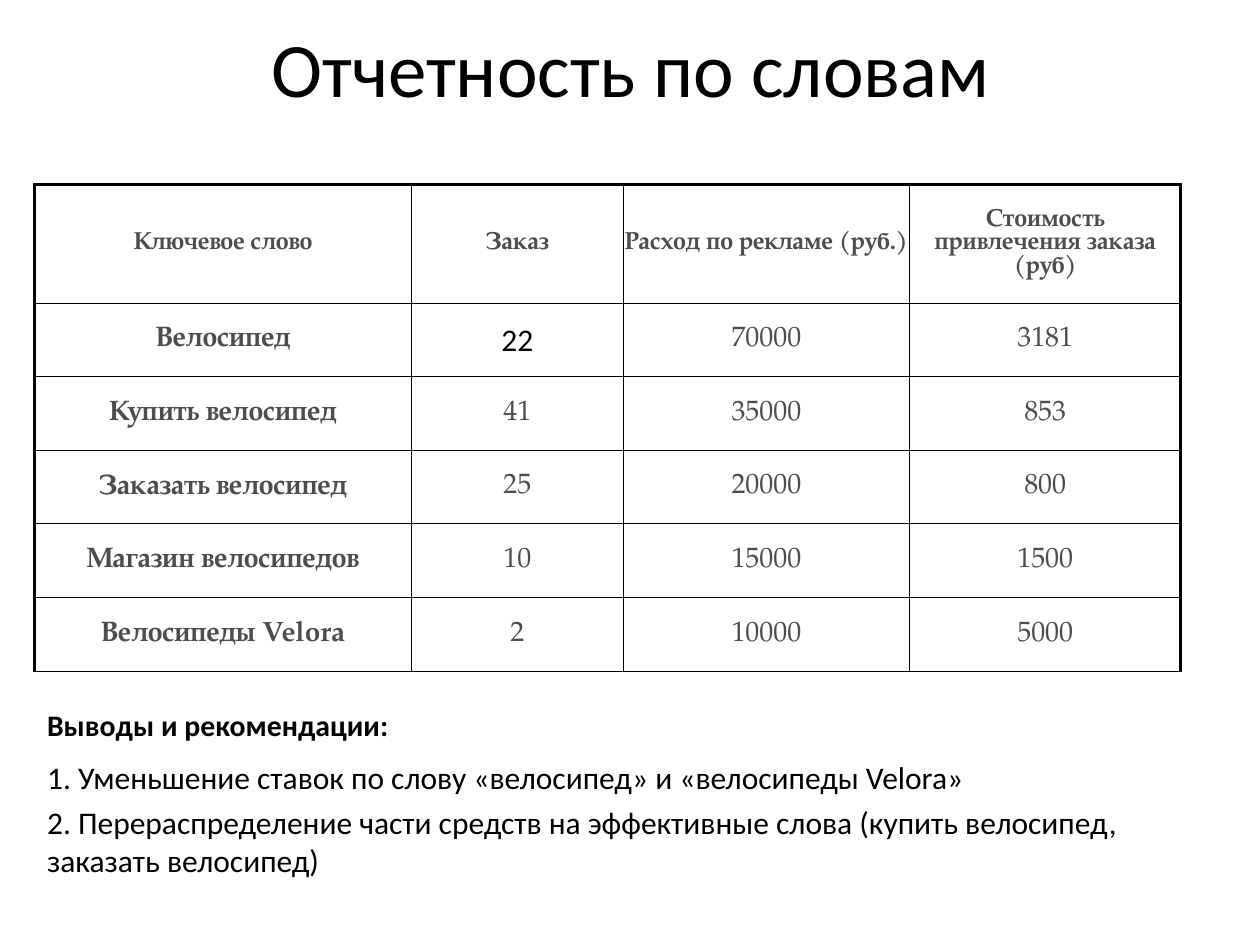
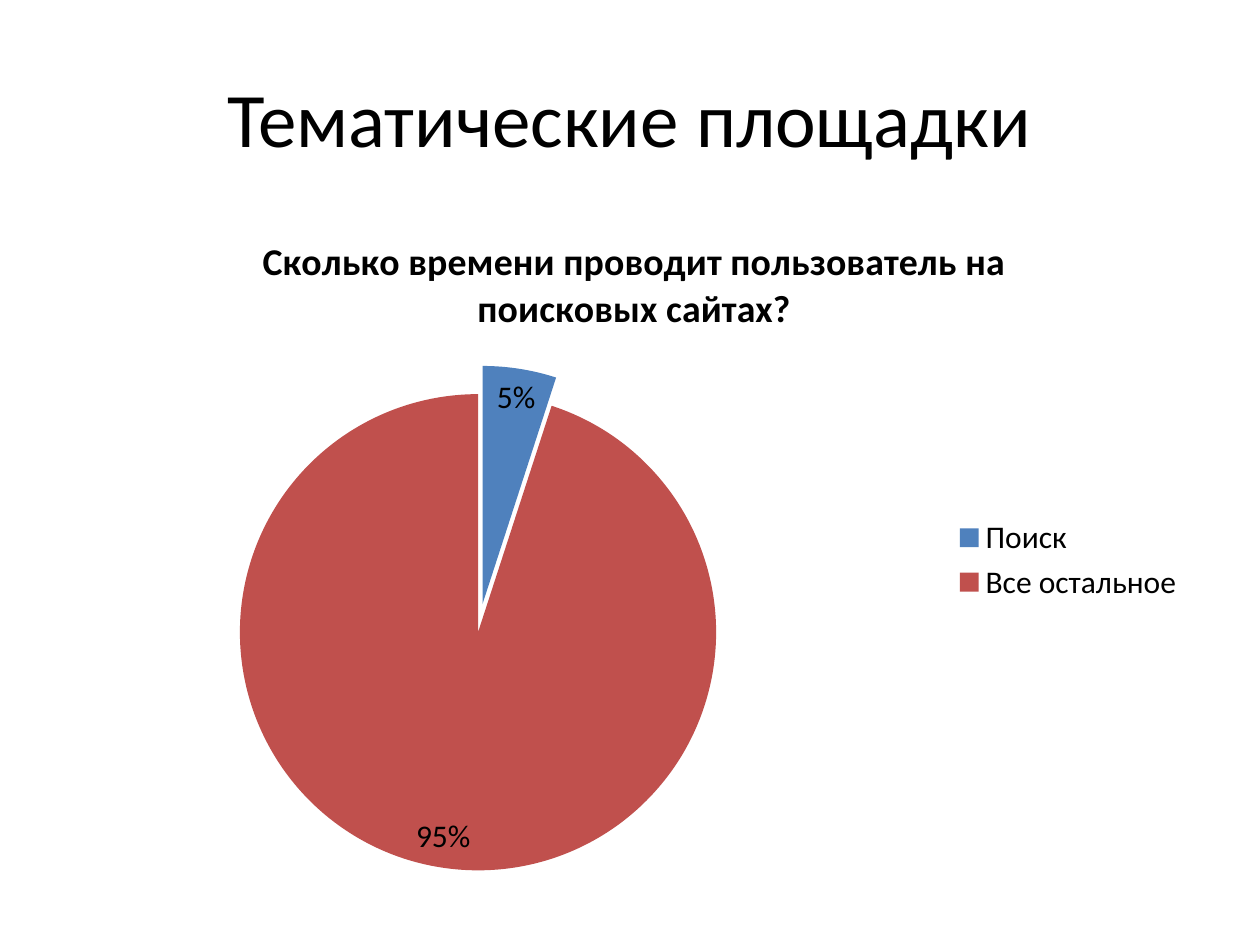
from dataclasses import dataclass

from lxml.etree import SubElement
from pptx import Presentation
from pptx.chart.data import CategoryChartData
from pptx.dml.color import RGBColor
from pptx.enum.chart import XL_CHART_TYPE as ChartType
from pptx.enum.chart import XL_LABEL_POSITION as LabelPosition
from pptx.enum.chart import XL_LEGEND_POSITION as LegendPosition
from pptx.enum.text import MSO_ANCHOR as Anchor
from pptx.enum.text import PP_ALIGN as Align
from pptx.oxml import parse_xml
from pptx.oxml.ns import nsdecls, qn
from pptx.slide import Slide
from pptx.table import _Cell as Cell
from pptx.text.text import Font
from pptx.util import Pt


@dataclass(frozen=True)
class Theme:
    black: str = "000000"
    gray: str = "4D4D4D"
    white: str = "FFFFFF"
    slices: tuple[str, ...] = ("4F81BD", "C0504D")
    sans: str = "Calibri"
    serif: str = "TeX Gyre Pagella"
    title_size: float = 44
    chart_title_size: float = 21.6
    body_size: float = 18
    lead_size: float = 17
    cell_size: float = 16
    header_size: float = 14
    thin: float = 0.5
    thick: float = 2


THEME = Theme()


@dataclass(frozen=True)
class Box:
    left: float
    top: float
    width: float
    height: float

    def lengths(self) -> tuple[Pt, Pt, Pt, Pt]:
        return Pt(self.left), Pt(self.top), Pt(self.width), Pt(self.height)


@dataclass(frozen=True)
class TextStyle:
    size: float
    name: str = THEME.sans
    color: str = THEME.black
    bold: bool = False

    def apply(self, font: Font) -> None:
        font.size = Pt(self.size)
        font.name = self.name
        font.bold = self.bold
        font.color.rgb = RGBColor.from_string(self.color)


@dataclass(frozen=True)
class Line:
    text: str
    style: TextStyle
    space_before: float = 0


TITLE = TextStyle(THEME.title_size)
BODY = TextStyle(THEME.body_size)
LEAD = TextStyle(THEME.lead_size, bold=True)
CHART_TITLE = TextStyle(THEME.chart_title_size, bold=True)
HEADER = TextStyle(THEME.header_size, THEME.serif, THEME.gray, True)
KEYWORD = TextStyle(THEME.cell_size, THEME.serif, THEME.gray, True)
NUMBER = TextStyle(THEME.cell_size, THEME.serif, THEME.gray)

KEYWORD_ROWS = (
    ("Ключевое слово", "Заказ", "Расход по рекламе (руб.)", "Стоимость привлечения заказа (руб)"),
    ("Велосипед", "22", "70000", "3181"),
    ("Купить велосипед", "41", "35000", "853"),
    ("Заказать велосипед", "25", "20000", "800"),
    ("Магазин велосипедов", "10", "15000", "1500"),
    ("Велосипеды Velora", "2", "10000", "5000"),
)
COLUMN_WIDTHS = (215.3, 121, 163.8, 154.8)
HEADER_HEIGHT, ROW_HEIGHT = 67.7, 42.1

CONCLUSIONS = (
    Line("Выводы и рекомендации:", LEAD),
    Line("1. Уменьшение ставок по слову «велосипед» и «велосипеды Velora»", BODY, 9),
    Line("2. Перераспределение части средств на эффективные слова "
         "(купить велосипед, заказать велосипед)", BODY, 4),
)

TIME_QUESTION = "Сколько времени проводит пользователь на поисковых сайтах?"
TIME_SHARES = {"Поиск": 0.05, "Все остальное": 0.95}
TITLE_CORNER = {"xMode": "edge", "yMode": "edge", "x": 0.17, "y": 0.01}
PIE_AREA = {"layoutTarget": "inner", "xMode": "edge", "yMode": "edge",
            "x": 0.16, "y": 0.18, "w": 0.42, "h": 0.77}
SLICE_OFFSET = 12


def add_text(slide: Slide, box: Box, lines: tuple[Line, ...],
             align: Align = Align.LEFT, anchor: Anchor = Anchor.TOP) -> None:
    """Add a wrapped text box with one paragraph per line."""
    text_frame = slide.shapes.add_textbox(*box.lengths()).text_frame
    text_frame.word_wrap = True
    text_frame.vertical_anchor = anchor
    text_frame.text = "\n".join(line.text for line in lines)
    for paragraph, line in zip(text_frame.paragraphs, lines):
        paragraph.alignment = align
        paragraph.space_before = Pt(line.space_before)
        line.style.apply(paragraph.runs[0].font)


def add_title(slide: Slide, text: str, box: Box) -> None:
    """Add a centred slide title."""
    add_text(slide, box, (Line(text, TITLE),), Align.CENTER, Anchor.MIDDLE)


def set_borders(cell: Cell, widths: dict[str, float]) -> None:
    """Draw the cell edges, placing them before the cell fill."""
    properties = cell._tc.get_or_add_tcPr()
    for index, (edge, width) in enumerate(widths.items()):
        properties.insert(index, parse_xml(
            f'<a:{edge} {nsdecls("a")} w="{Pt(width)}"><a:solidFill>'
            f'<a:srgbClr val="{THEME.black}"/></a:solidFill></a:{edge}>'))


def cell_style(row: int, column: int) -> TextStyle:
    """Choose the text style by the cell's place in the table."""
    if row == 0:
        return HEADER
    if column == 0:
        return KEYWORD
    return BODY if (row, column) == (1, 1) else NUMBER


def fill_cell(cell: Cell, text: str, style: TextStyle) -> None:
    """Write centred text into a white cell."""
    cell.fill.solid()
    cell.fill.fore_color.rgb = RGBColor.from_string(THEME.white)
    cell.vertical_anchor = Anchor.MIDDLE
    cell.margin_left = cell.margin_right = cell.margin_top = Pt(0.7)
    cell.margin_bottom = Pt(0)
    cell.text_frame.text = text
    paragraph = cell.text_frame.paragraphs[0]
    paragraph.alignment = Align.CENTER
    style.apply(paragraph.runs[0].font)


def add_keyword_table(slide: Slide, left: float, top: float) -> None:
    """Add the keyword table with a thick frame on three sides."""
    heights = (HEADER_HEIGHT,) + (ROW_HEIGHT,) * (len(KEYWORD_ROWS) - 1)
    box = Box(left, top, sum(COLUMN_WIDTHS), sum(heights))
    table = slide.shapes.add_table(len(heights), len(COLUMN_WIDTHS), *box.lengths()).table
    table.first_row = table.horz_banding = False
    for column, width in zip(table.columns, COLUMN_WIDTHS):
        column.width = Pt(width)
    for row, height in zip(table.rows, heights):
        row.height = Pt(height)
    last_column = len(COLUMN_WIDTHS) - 1
    for row, texts in enumerate(KEYWORD_ROWS):
        for column, text in enumerate(texts):
            cell = table.cell(row, column)
            fill_cell(cell, text, cell_style(row, column))
            set_borders(cell, {
                "lnL": THEME.thick if column == 0 else THEME.thin,
                "lnR": THEME.thick if column == last_column else THEME.thin,
                "lnT": THEME.thick if row == 0 else THEME.thin,
                "lnB": THEME.thin,
            })


def add_time_chart(slide: Slide, box: Box) -> None:
    """Add the pie of time shares with its larger slice pulled out."""
    data = CategoryChartData(number_format="0%")
    data.categories = list(TIME_SHARES)
    data.add_series(TIME_QUESTION, list(TIME_SHARES.values()))
    chart = slide.shapes.add_chart(ChartType.PIE, *box.lengths(), data).chart
    BODY.apply(chart.font)
    chart.has_title = True
    chart.chart_title.text_frame.text = TIME_QUESTION
    CHART_TITLE.apply(chart.chart_title.text_frame.paragraphs[0].runs[0].font)
    chart.has_legend = True
    chart.legend.position = LegendPosition.RIGHT
    chart.legend.include_in_layout = False
    BODY.apply(chart.legend.font)

    plot = chart.plots[0]
    plot.vary_by_categories = True
    plot.has_data_labels = True
    labels = plot.data_labels
    labels.show_value = True
    labels.number_format = "0%"
    labels.number_format_is_linked = False
    labels.position = LabelPosition.BEST_FIT
    BODY.apply(labels.font)
    for index, color in enumerate(THEME.slices):
        fill = plot.series[0].points[index].format.fill
        fill.solid()
        fill.fore_color.rgb = RGBColor.from_string(color)
    pulled_slice = plot.series[0]._element.findall(qn("c:dPt"))[-1]
    pulled_slice.find(qn("c:spPr")).addprevious(
        parse_xml(f'<c:explosion {nsdecls("c")} val="{SLICE_OFFSET}"/>'))
    set_layout(chart._chartSpace.chart.plotArea, 0, PIE_AREA)
    set_layout(chart.chart_title._element, 1, TITLE_CORNER)


def set_layout(element, index: int, settings: dict[str, str | float]) -> None:
    """Fix a chart part's place as fractions of the chart."""
    layout = element.find(qn("c:layout"))
    if layout is None:
        layout = parse_xml(f'<c:layout {nsdecls("c")}/>')
        element.insert(index, layout)
    manual = SubElement(layout, qn("c:manualLayout"))
    for tag, value in settings.items():
        SubElement(manual, qn(f"c:{tag}")).set("val", str(value))


def main() -> None:
    """Build both slides and save the presentation."""
    presentation = Presentation()
    presentation.slide_width, presentation.slide_height = Pt(720), Pt(540)
    blank = presentation.slide_layouts[6]

    keywords = presentation.slides.add_slide(blank)
    add_title(keywords, "Отчетность по словам", Box(30.9, 20.9, 659.5, 34.6))
    add_text(keywords, Box(19.8, 400.3, 675.4, 106.6), CONCLUSIONS)
    add_keyword_table(keywords, 19.8, 105.4)

    sites = presentation.slides.add_slide(blank)
    add_title(sites, "Тематические площадки", Box(36, 21.6, 648, 90))
    add_time_chart(sites, Box(36, 126, 648, 388))
    presentation.save("out.pptx")


if __name__ == "__main__":
    main()
